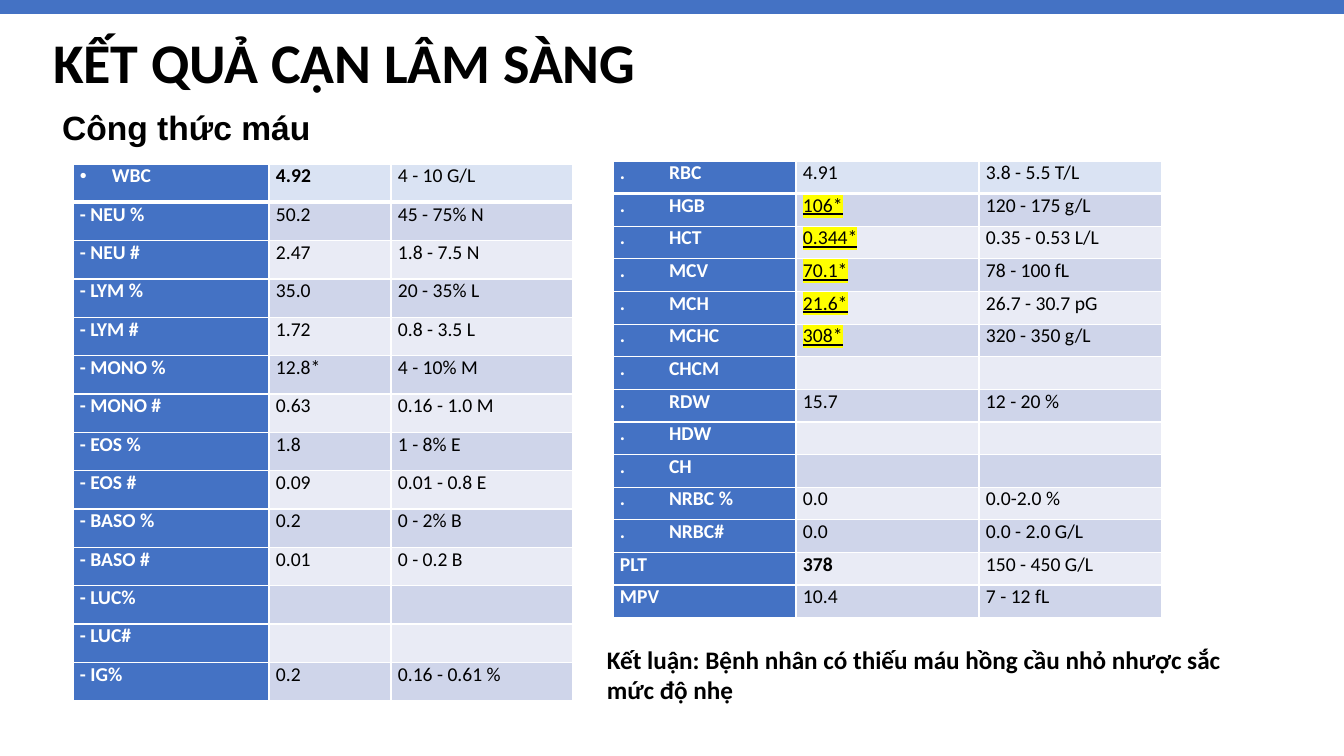
from lxml.etree import SubElement
from pptx import Presentation
from pptx.dml.color import RGBColor
from pptx.enum.shapes import MSO_SHAPE
from pptx.enum.text import MSO_ANCHOR, MSO_AUTO_SIZE, PP_ALIGN
from pptx.oxml import parse_xml
from pptx.oxml.ns import nsdecls, qn
from pptx.util import Emu, Pt

SLIDE_W, SLIDE_H = 1344, 756
EMU_PER_PX = 12192000 / SLIDE_W
COLORS = {
    "blue": "4472C4", "header": "DAE3F3", "odd": "CFD5EA", "even": "E9EBF5",
    "white": "FFFFFF", "black": "000000", "mark": "FFFF00",
}

LEFT_ROWS = [
    ("•\tWBC", "4.92", "4 - 10 G/L"),
    ("- NEU %", "50.2", "45 - 75% N"),
    ("- NEU #", "2.47", "1.8 - 7.5 N"),
    ("- LYM %", "35.0", "20 - 35% L"),
    ("- LYM #", "1.72", "0.8 - 3.5 L"),
    ("- MONO %", "12.8*", "4 - 10% M"),
    ("- MONO #", "0.63", "0.16 - 1.0 M"),
    ("- EOS %", "1.8", "1 - 8% E"),
    ("- EOS #", "0.09", "0.01 - 0.8 E"),
    ("- BASO %", "0.2", "0 - 2% B"),
    ("- BASO #", "0.01", "0 - 0.2 B"),
    ("- LUC%", "", ""),
    ("- LUC#", "", ""),
    ("- IG%", "0.2", "0.16 - 0.61 %"),
]
RIGHT_ROWS = [
    (".\tRBC", "4.91", "3.8 - 5.5 T/L"),
    (".\tHGB", "106*", "120 - 175 g/L"),
    (".\tHCT", "0.344*", "0.35 - 0.53 L/L"),
    (".\tMCV", "70.1*", "78 - 100 fL"),
    (".\tMCH", "21.6*", "26.7 - 30.7 pG"),
    (".\tMCHC", "308*", "320 - 350 g/L"),
    (".\tCHCM", "", ""),
    (".\tRDW", "15.7", "12 - 20 %"),
    (".\tHDW", "", ""),
    (".\tCH", "", ""),
    (".\tNRBC %", "0.0", "0.0-2.0 %"),
    (".\tNRBC#", "0.0", "0.0 - 2.0 G/L"),
    ("PLT", "378", "150 - 450 G/L"),
    ("MPV", "10.4", "7 - 12 fL"),
]
BOLD_VALUES = {"4.92", "378"}
MARKED_VALUES = {"106*", "0.344*", "70.1*", "21.6*", "308*"}


def px(n):
    return Emu(round(n * EMU_PER_PX))


def rgb(name):
    return RGBColor.from_string(COLORS[name])


def place(sp, box):
    sp.left, sp.top, sp.width, sp.height = map(px, box)


def style_runs(p, size, color="black", bold=True, font="Calibri"):
    for r in p.runs:
        r.font.name, r.font.size, r.font.bold = font, Pt(size), bold
        r.font.color.rgb = rgb(color)


def add_bar(s, box):
    sp = s.shapes.add_shape(MSO_SHAPE.RECTANGLE, *map(px, box))
    sp.shadow.inherit = False
    sp.fill.solid()
    sp.fill.fore_color.rgb = rgb("blue")
    sp.line.fill.background()


def fill_placeholder(sp, box, text, size, font, anchor):
    place(sp, box)
    tf = sp.text_frame
    tf.text = text
    tf.word_wrap = True
    tf.auto_size = MSO_AUTO_SIZE.NONE
    tf.vertical_anchor = anchor
    p = tf.paragraphs[0]
    p.alignment = PP_ALIGN.LEFT
    p.line_spacing = 0.9
    p.space_before = Pt(0)
    style_runs(p, size, font=font)
    return p


def set_borders(cell, bottom):
    tcPr = cell._tc.get_or_add_tcPr()
    widths = {"lnL": 1, "lnR": 1, "lnT": 1, "lnB": bottom}
    for i, (tag, width) in enumerate(widths.items()):
        tcPr.insert(i, parse_xml(
            f'<a:{tag} {nsdecls("a")} w="{Pt(width)}"><a:solidFill>'
            f'<a:srgbClr val="{COLORS["white"]}"/></a:solidFill></a:{tag}>'))


def set_name(p, name):
    """Write a test name with its bullet or its tab stop."""
    pPr = p._p.get_or_add_pPr()
    if name.startswith("•\t"):
        pPr.set("marL", str(px(32)))
        pPr.set("indent", str(-px(32)))
        SubElement(pPr, qn("a:buFont")).set("typeface", "Arial")
        SubElement(pPr, qn("a:buChar")).set("char", "•")
        name = name[2:]
    elif "\t" in name:
        tab = SubElement(SubElement(pPr, qn("a:tabLst")), qn("a:tab"))
        tab.set("pos", str(px(49)))
        tab.set("algn", "l")
    p.text = name


def mark_run(r):
    """Underline and highlight an abnormal value."""
    r.font.underline = True
    r._r.rPr.find(qn("a:solidFill")).addnext(parse_xml(
        f'<a:highlight {nsdecls("a")}><a:srgbClr val="{COLORS["mark"]}"/></a:highlight>'))


def add_results(s, box, widths, rows):
    table = s.shapes.add_table(len(rows), len(widths), *map(px, box)).table
    for col, width in zip(table.columns, widths):
        col.width = px(width)
    for i, row in enumerate(rows):
        table.rows[i].height = px(box[3] / len(rows))
        band = "header" if i == 0 else "odd" if i % 2 else "even"
        for j, text in enumerate(row):
            cell = table.cell(i, j)
            cell.margin_left = cell.margin_right = px(7)
            cell.margin_top = cell.margin_bottom = 0
            cell.fill.solid()
            cell.fill.fore_color.rgb = rgb(band if j else "blue")
            set_borders(cell, bottom=1 if i else 3)
            if not text:
                continue
            p = cell.text_frame.paragraphs[0]
            if j == 0:
                set_name(p, text)
            else:
                p.text = text
            style_runs(p, 14, "black" if j else "white", j == 0 or text in BOLD_VALUES)
            if text in MARKED_VALUES:
                mark_run(p.runs[0])


def add_conclusion(s, box):
    tf = s.shapes.add_textbox(*map(px, box)).text_frame
    tf.word_wrap = True
    tf.text = "Kết luận: Bệnh nhân có thiếu máu hồng cầu nhỏ nhược sắc mức độ nhẹ"
    style_runs(tf.paragraphs[0], 18)


def main():
    prs = Presentation()
    prs.slide_width, prs.slide_height = px(SLIDE_W), px(SLIDE_H)
    s = prs.slides.add_slide(prs.slide_layouts[0])

    # Headings
    fill_placeholder(s.shapes.title, (43, 55, 910, 46), "KẾT QUẢ CẬN LÂM SÀNG",
                     40, "Calibri", MSO_ANCHOR.BOTTOM)
    add_bar(s, (0, 0, SLIDE_W, 14))
    p = fill_placeholder(s.placeholders[1], (49, 106, 877, 618), "Công thức máu",
                         24, "Arial", MSO_ANCHOR.TOP)
    p._p.pPr.set("marL", str(px(3)))
    p._p.pPr.set("indent", "0")

    # Blood count tables
    add_results(s, (73, 164, 500, 537), (196, 122, 182), LEFT_ROWS)
    add_results(s, (613, 161, 549, 457), (183, 183, 183), RIGHT_ROWS)

    # Conclusion
    add_conclusion(s, (597, 639, 640, 72))
    prs.save("out.pptx")


if __name__ == "__main__":
    main()
